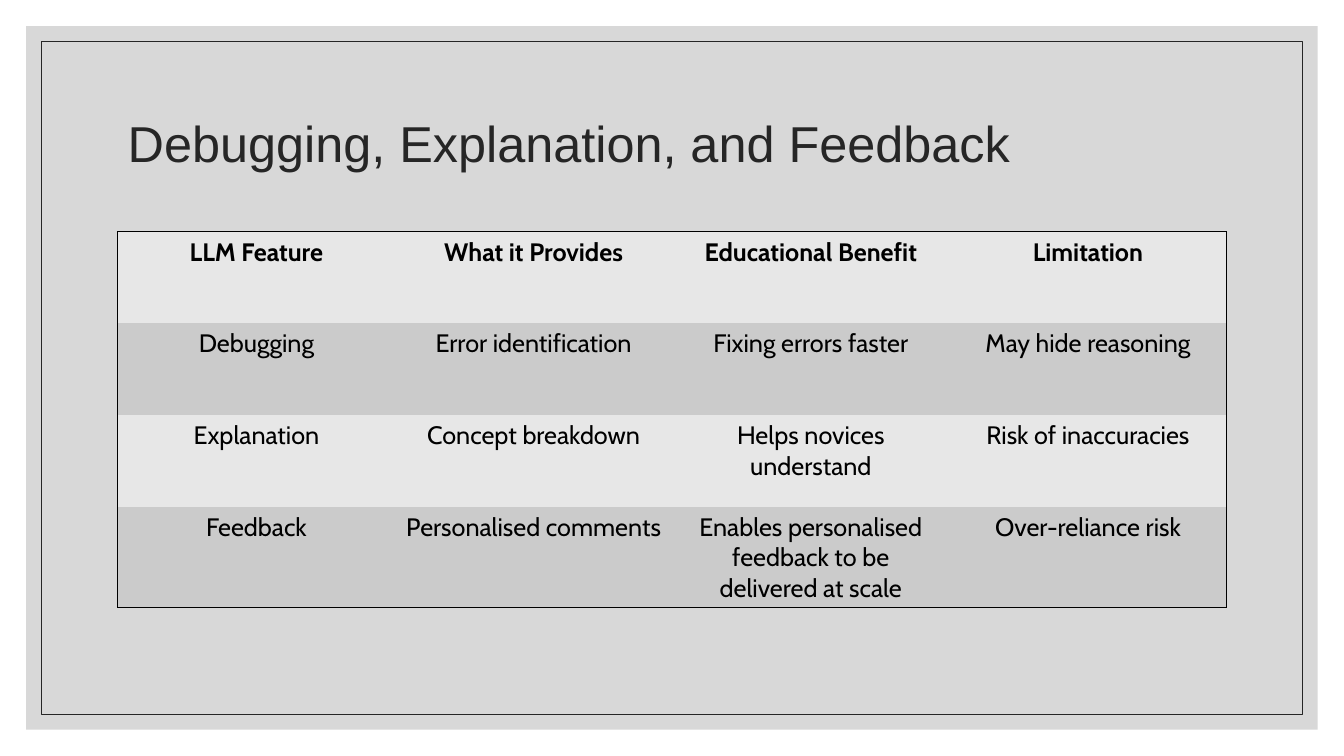
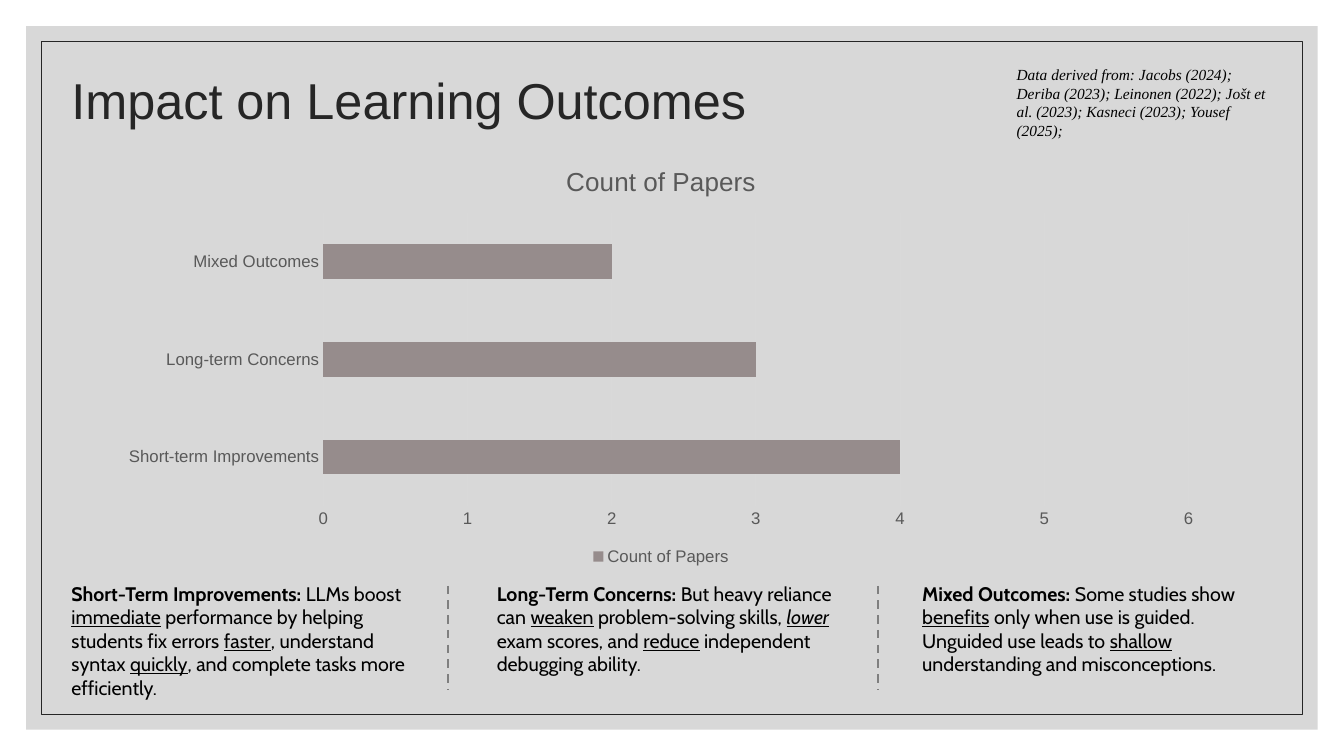
"""Builds two slides on feedback features and learning outcomes."""
from lxml import etree
from pptx import Presentation
from pptx.chart.data import CategoryChartData
from pptx.dml.color import RGBColor
from pptx.enum.chart import XL_CHART_TYPE, XL_LEGEND_POSITION, XL_TICK_MARK
from pptx.enum.dml import MSO_LINE
from pptx.enum.shapes import MSO_CONNECTOR, MSO_SHAPE
from pptx.enum.text import MSO_ANCHOR, PP_ALIGN
from pptx.oxml.ns import qn
from pptx.util import Cm, Pt

BAR = XL_CHART_TYPE.BAR_CLUSTERED
LEGEND_BOTTOM = XL_LEGEND_POSITION.BOTTOM
NO_TICK = XL_TICK_MARK.NONE
DASH = MSO_LINE.DASH
STRAIGHT = MSO_CONNECTOR.STRAIGHT
RECTANGLE = MSO_SHAPE.RECTANGLE
TOP, MIDDLE = MSO_ANCHOR.TOP, MSO_ANCHOR.MIDDLE
LEFT, CENTER = PP_ALIGN.LEFT, PP_ALIGN.CENTER

COLORS = {
    "panel": "BFBFBF", "ink": "262626", "text": "000000", "label": "595959",
    "grid": "D9D9D9", "bar": "968C8C", "divider": "7F7F7F",
    "light_row": "E7E7E7", "dark_row": "CBCBCB",
}
HEADING, BODY, CITATION = "Arial", "Cabin", "Times New Roman"
WIDTH, HEIGHT = 33.87, 19.05
CONTENT_WIDTH = 27.94

FEATURES = [
    ["LLM Feature", "What it Provides", "Educational Benefit", "Limitation"],
    ["Debugging", "Error identification", "Fixing errors faster", "May hide reasoning"],
    ["Explanation", "Concept breakdown", "Helps novices understand", "Risk of inaccuracies"],
    ["Feedback", "Personalised comments",
     "Enables personalised feedback to be delivered at scale", "Over-reliance risk"],
]
PAPERS = {"Short-term Improvements": 4, "Long-term Concerns": 3, "Mixed Outcomes": 2}
SOURCES = ("Data derived from: Jacobs (2024); Deriba (2023); Leinonen (2022); "
           "Jošt et al. (2023); Kasneci (2023); Yousef (2025);")
FINDINGS = [
    [("Short-Term Improvements: ", "b"), ("LLMs boost ", ""), ("immediate", "u"),
     (" performance by helping students fix errors ", ""), ("faster", "u"),
     (", understand syntax ", ""), ("quickly", "u"),
     (", and complete tasks more efficiently.", "")],
    [("Long-Term Concerns: ", "b"), ("But heavy reliance can ", ""), ("weaken", "u"),
     (" problem-solving skills, ", ""), ("lower", "iu"), (" exam scores, and ", ""),
     ("reduce", "u"), (" independent debugging ability.", "")],
    [("Mixed Outcomes: ", "b"), ("Some studies show ", ""), ("benefits", "u"),
     (" only when use is guided. Unguided use leads to ", ""), ("shallow", "u"),
     (" understanding and misconceptions.", "")],
]


def color(name):
    return RGBColor.from_string(COLORS[name])


def set_font(font, size, name=BODY, ink="text"):
    font.size, font.name = Pt(size), name
    font.color.rgb = color(ink)


def set_line(line, ink, width):
    line.color.rgb = color(ink)
    line.width = Pt(width)


def write(frame, spans, size=18, font=BODY, ink="text", align=LEFT, anchor=TOP, spacing=None):
    frame.word_wrap = True
    frame.vertical_anchor = anchor
    para = frame.paragraphs[0]
    para.alignment, para.line_spacing = align, spacing
    for text, marks in spans:
        span = para.add_run()
        span.text = text
        set_font(span.font, size, font, ink)
        span.font.bold = "b" in marks
        span.font.italic = "i" in marks
        span.font.underline = "u" in marks


def set_borders(cell, sides):
    properties = cell._tc.get_or_add_tcPr()
    for side in "LRTB":
        border = etree.SubElement(properties, qn(f"a:ln{side}"), w=str(Pt(1)))
        if side in sides:
            fill = etree.SubElement(border, qn("a:solidFill"))
            etree.SubElement(fill, qn("a:srgbClr"), val=COLORS["text"])
        else:
            etree.SubElement(border, qn("a:noFill"))


class Deck:
    def __init__(self):
        self.deck = Presentation()
        self.deck.slide_width, self.deck.slide_height = Cm(WIDTH), Cm(HEIGHT)
        self.page = None

    def add_page(self, title, left, top):
        self.page = self.deck.slides.add_slide(self.deck.slide_layouts[6])
        panel = self.rectangle(0.66)
        panel.fill.solid()
        panel.fill.fore_color.rgb = color("panel")
        tone = panel.fill._xPr.find(".//" + qn("a:srgbClr"))
        etree.SubElement(tone, qn("a:alpha"), val="60000")
        panel.line.fill.background()
        outline = self.rectangle(1.04)
        outline.fill.background()
        set_line(outline.line, "ink", 0.5)
        self.text([(title, "")], left, top, CONTENT_WIDTH, 3.81, size=36,
                  font=HEADING, ink="ink", anchor=MIDDLE, spacing=0.9)

    def rectangle(self, margin):
        box = self.page.shapes.add_shape(
            RECTANGLE, Cm(margin), Cm(margin), Cm(WIDTH - 2 * margin), Cm(HEIGHT - 2 * margin))
        box.shadow.inherit = False
        return box

    def text(self, spans, left, top, width, height, **style):
        box = self.page.shapes.add_textbox(Cm(left), Cm(top), Cm(width), Cm(height))
        write(box.text_frame, spans, **style)

    def divider(self, left, top, bottom):
        line = self.page.shapes.add_connector(STRAIGHT, Cm(left), Cm(top), Cm(left), Cm(bottom))
        set_line(line.line, "divider", 1.5)
        line.line.dash_style = DASH
        etree.SubElement(line._element.spPr, qn("a:effectLst"))

    def table(self, rows, left, top, width, row_height):
        last_row, last_column = len(rows) - 1, len(rows[0]) - 1
        table = self.page.shapes.add_table(
            len(rows), len(rows[0]), Cm(left), Cm(top), Cm(width),
            Cm(row_height * len(rows))).table
        table.first_row = table.horz_banding = False
        for i, row in enumerate(rows):
            for j, text in enumerate(row):
                cell = table.cell(i, j)
                edges = {"L": j == 0, "R": j == last_column, "T": i == 0, "B": i == last_row}
                set_borders(cell, [side for side, outer in edges.items() if outer])
                cell.fill.solid()
                cell.fill.fore_color.rgb = color("dark_row" if i % 2 else "light_row")
                write(cell.text_frame, [(text, "" if i else "b")], align=CENTER)

    def bar_chart(self, name, values, left, top, width, height):
        data = CategoryChartData()
        data.categories = list(values)
        data.add_series(name, list(values.values()))
        chart = self.page.shapes.add_chart(
            BAR, Cm(left), Cm(top), Cm(width), Cm(height), data).chart
        set_font(chart.font, 12, HEADING, "label")
        chart.has_title = True
        chart.chart_title.include_in_layout = False
        write(chart.chart_title.text_frame, [(name, "")], size=18.6, font=HEADING,
              ink="label", align=CENTER)
        chart.has_legend = True
        chart.legend.position = LEGEND_BOTTOM
        chart.legend.include_in_layout = False
        for axis in (chart.category_axis, chart.value_axis):
            axis.major_tick_mark = axis.minor_tick_mark = NO_TICK
        set_line(chart.category_axis.format.line, "grid", 0.75)
        scale = chart.value_axis
        scale.minimum_scale, scale.maximum_scale, scale.major_unit = 0, 6, 1
        scale.format.line.fill.background()
        set_line(scale.major_gridlines.format.line, "grid", 0.75)
        plot = chart.plots[0]
        plot.gap_width, plot.vary_by_categories = 182, False
        bars = plot.series[0].format.fill
        bars.solid()
        bars.fore_color.rgb = color("bar")


def main():
    deck = Deck()
    deck.add_page("Debugging, Explanation, and Feedback", 2.97, 1.78)
    deck.table(FEATURES, 2.97, 5.84, CONTENT_WIDTH, 2.31)

    deck.add_page("Impact on Learning Outcomes", 1.55, 0.69)
    deck.bar_chart("Count of Papers", PAPERS, 2.69, 3.66, CONTENT_WIDTH, 10.69)
    deck.text([(SOURCES, "i")], 25.37, 1.52, 6.93, 2.13, size=11, font=CITATION)
    for i, spans in enumerate(FINDINGS):
        deck.text(spans, 1.55 + 10.72 * i, 14.53, 9.35, 2.64, size=14)
    for i in range(len(FINDINGS) - 1):
        deck.divider(11.3 + 10.82 * i, 14.76, 17.37)
    deck.deck.save("out.pptx")


if __name__ == "__main__":
    main()
